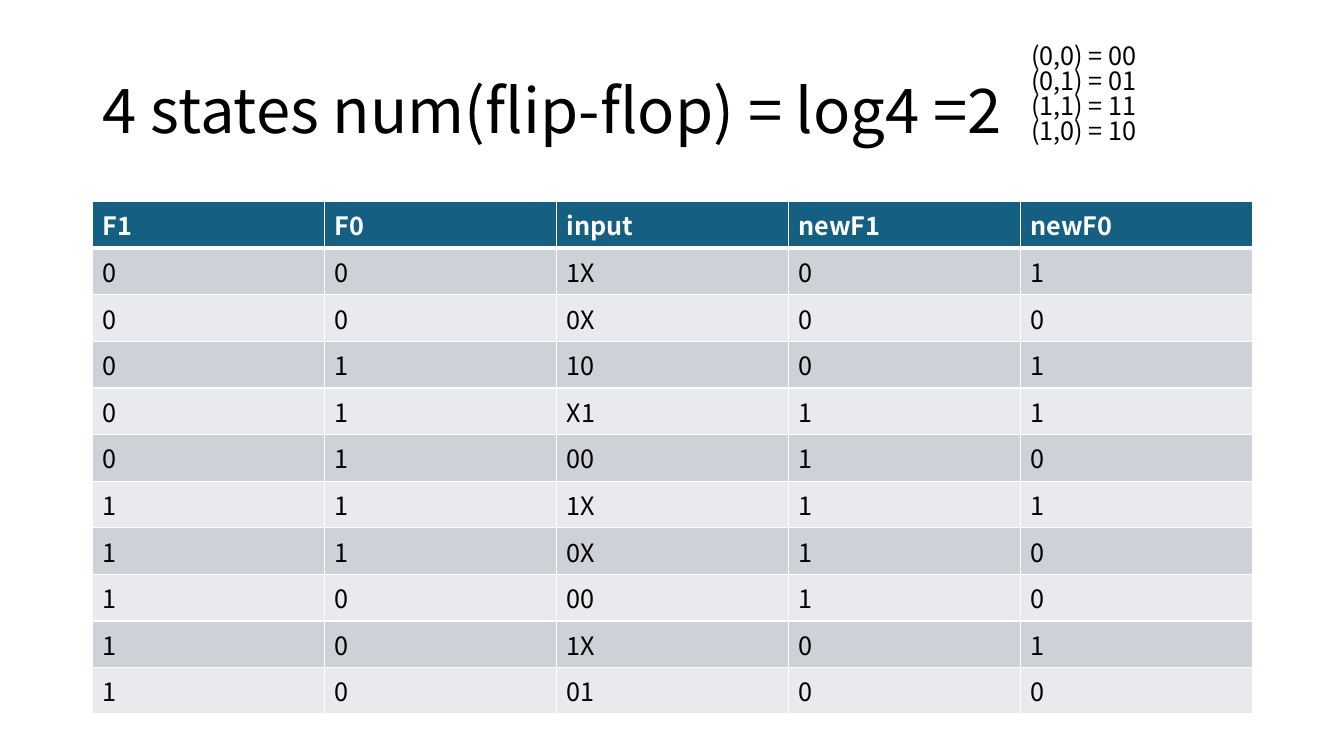
from lxml import etree
from pptx import Presentation
from pptx.dml.color import RGBColor
from pptx.enum.text import MSO_ANCHOR, MSO_AUTO_SIZE, PP_ALIGN
from pptx.oxml.ns import qn
from pptx.util import Inches, Pt

LEFT, MIDDLE = PP_ALIGN.LEFT, MSO_ANCHOR.MIDDLE
NO_FIT = MSO_AUTO_SIZE.NONE
FONT = "Noto Sans CJK SC"
COLORS = {"text": "000000", "white": "FFFFFF", "header": "156082",
          "dark": "CCD2D8", "light": "E8EAED"}


def style_text(tf, size, color="text", bold=False, spacing=None):
    for p in tf.paragraphs:
        p.alignment = LEFT
        p.line_spacing = spacing
        for r in p.runs:
            r.font.name = FONT
            r.font.size = Pt(size)
            r.font.bold = bold
            r.font.color.rgb = RGBColor.from_string(COLORS[color])


def set_borders(cell, bottom):
    tcPr = cell._tc.get_or_add_tcPr()
    widths = {"a:lnL": 1, "a:lnR": 1, "a:lnT": 1, "a:lnB": bottom}
    for i, (tag, width) in enumerate(widths.items()):
        ln = etree.Element(qn(tag), w=str(Pt(width)))
        fill = etree.SubElement(ln, qn("a:solidFill"))
        etree.SubElement(fill, qn("a:srgbClr"), val=COLORS["white"])
        tcPr.insert(i, ln)


prs = Presentation()
prs.slide_width, prs.slide_height = Inches(13.33), Inches(7.5)
s = prs.slides.add_slide(prs.slide_layouts[5])

# Title
title = s.shapes.title
title.left, title.top = Inches(0.92), Inches(0.4)
title.width, title.height = Inches(11.5), Inches(1.45)
tf = title.text_frame
tf.text = "4 states num(flip-flop) = log4 =2"
tf.auto_size = NO_FIT
tf.word_wrap = True
tf.vertical_anchor = MIDDLE
style_text(tf, 44, spacing=0.9)

# State transition table
rows = [
    ("F1", "F0", "input", "newF1", "newF0"),
    ("0", "0", "1X", "0", "1"),
    ("0", "0", "0X", "0", "0"),
    ("0", "1", "10", "0", "1"),
    ("0", "1", "X1", "1", "1"),
    ("0", "1", "00", "1", "0"),
    ("1", "1", "1X", "1", "1"),
    ("1", "1", "0X", "1", "0"),
    ("1", "0", "00", "1", "0"),
    ("1", "0", "1X", "0", "1"),
    ("1", "0", "01", "0", "0"),
]
table = s.shapes.add_table(len(rows), len(rows[0]), Inches(0.92), Inches(2),
                           Inches(11.5), Inches(4.46)).table
for i, values in enumerate(rows):
    header = i == 0
    fill = "header" if header else "dark" if i % 2 else "light"
    for j, value in enumerate(values):
        cell = table.cell(i, j)
        cell.text_frame.text = value
        cell.fill.solid()
        cell.fill.fore_color.rgb = RGBColor.from_string(COLORS[fill])
        style_text(cell.text_frame, 18, "white" if header else "text", header)
        set_borders(cell, 3 if header else 1)

# State encoding
box = s.shapes.add_textbox(Inches(10.13), Inches(0.4), Inches(1.3), Inches(1.31))
tf = box.text_frame
tf.text = "(0,0) = 00\n(0,1) = 01\n(1,1) = 11\n(1,0) = 10"
tf.word_wrap = True
tf.auto_size = NO_FIT
style_text(tf, 18, spacing=0.83)

prs.save("out.pptx")
